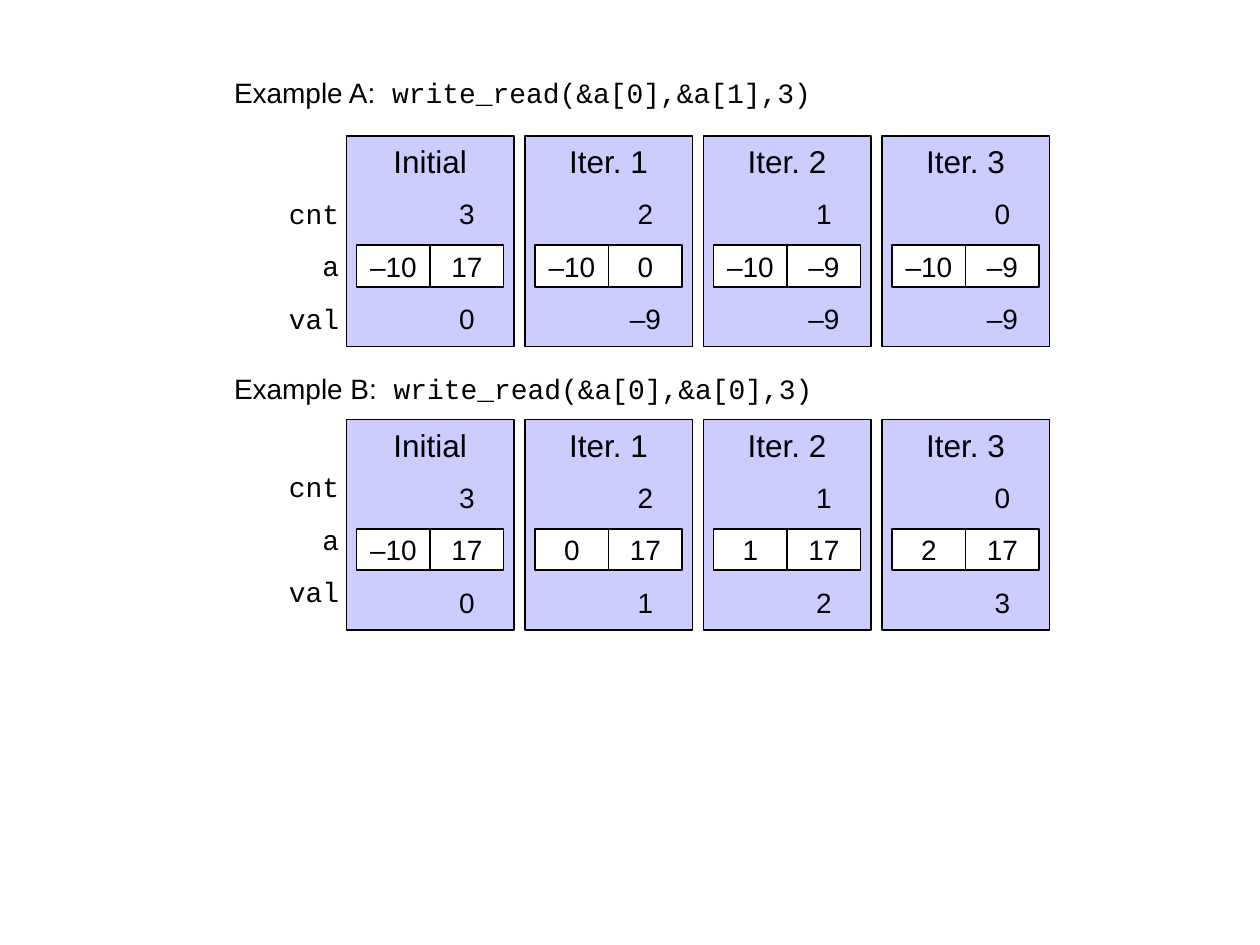
from dataclasses import dataclass

from pptx import Presentation
from pptx.dml.color import RGBColor
from pptx.enum import shapes, text
from pptx.util import Inches, Pt


@dataclass(frozen=True)
class Theme:
    ink: RGBColor = RGBColor(0, 0, 0)
    panel: RGBColor = RGBColor(0xCC, 0xCC, 0xFF)
    cell: RGBColor = RGBColor(0xFF, 0xFF, 0xFF)
    body_font: str = "Arial"
    code_font: str = "Courier New"
    heading_size: int = 18
    body_size: int = 16


theme = Theme()
prs = Presentation()
prs.slide_width, prs.slide_height = Inches(10), Inches(7.5)
slide = prs.slides.add_slide(prs.slide_layouts[6])


def add_box(left, top, width, height, fill, line_width):
    box = slide.shapes.add_shape(
        shapes.MSO_SHAPE.RECTANGLE,
        Inches(left), Inches(top), Inches(width), Inches(height))
    box.shadow.inherit = False
    box.fill.solid()
    box.fill.fore_color.rgb = fill
    box.line.color.rgb = theme.ink
    box.line.width = Pt(line_width)
    return box


def add_text(runs, left, top, width, height, size=theme.body_size, align="CENTER",
             anchor="TOP", wrap=True, boxed=False):
    if boxed:
        holder = add_box(left, top, width, height, theme.cell, 1)
    else:
        holder = slide.shapes.add_textbox(
            Inches(left), Inches(top), Inches(width), Inches(height))
    frame = holder.text_frame
    frame.word_wrap = wrap
    frame.vertical_anchor = text.MSO_ANCHOR[anchor]
    paragraph = frame.paragraphs[0]
    paragraph.alignment = text.PP_ALIGN[align]
    for words, font_name in runs:
        run = paragraph.add_run()
        run.text = words
        run.font.name = font_name
        run.font.size = Pt(size)
        run.font.color.rgb = theme.ink


headings = ["Initial", "Iter. 1", "Iter. 2", "Iter. 3"]
variables = ["cnt", "a", "val"]
examples = [
    {"title": "Example A:", "call": " write_read(&a[0],&a[1],3)",
     "title_top": 0.55, "top": 1.08, "label_top": 1.51,
     "states": [("3", "–10", "17", "0"), ("2", "–10", "0", "–9"),
                ("1", "–10", "–9", "–9"), ("0", "–10", "–9", "–9")]},
    {"title": "Example B:", "call": " write_read(&a[0],&a[0],3)",
     "title_top": 2.9, "top": 3.33, "label_top": 3.68,
     "states": [("3", "–10", "17", "0"), ("2", "0", "17", "1"),
                ("1", "1", "17", "2"), ("0", "2", "17", "3")]},
]
first_left, panel_width, panel_height = 2.75, 1.33, 1.67
panel_pitch = 17 / 12
row_pitch = 5 / 12
cell_width, cell_height = 7 / 12, 0.33
panel_inset = 0.08

for example in examples:
    top = example["top"]
    add_text([(example["title"], theme.body_font), (example["call"], theme.code_font)],
             1.76, example["title_top"], 4.79, 0.37, align="LEFT", wrap=False)

    for row, variable in enumerate(variables):
        add_text([(variable, theme.code_font)], 2.17,
                 example["label_top"] + row * row_pitch, 0.62, 0.37, align="RIGHT")

    for column, (heading, state) in enumerate(zip(headings, example["states"])):
        panel_left = first_left + column * panel_pitch
        add_box(panel_left, top, panel_width, panel_height, theme.panel, 0.75)
        left = panel_left + panel_inset
        add_text([(heading, theme.body_font)], left, top, 2 * cell_width, 0.4,
                 size=theme.heading_size)
        cnt, a0, a1, val = state
        for value, side, row, boxed in [(cnt, 1, 0, False), (a0, 0, 1, True),
                                        (a1, 1, 1, True), (val, 1, 2, False)]:
            add_text([(value, theme.body_font)], left + side * cell_width,
                     top + 0.45 + row * row_pitch, cell_width, cell_height,
                     anchor="MIDDLE", wrap=False, boxed=boxed)

prs.save("out.pptx")
